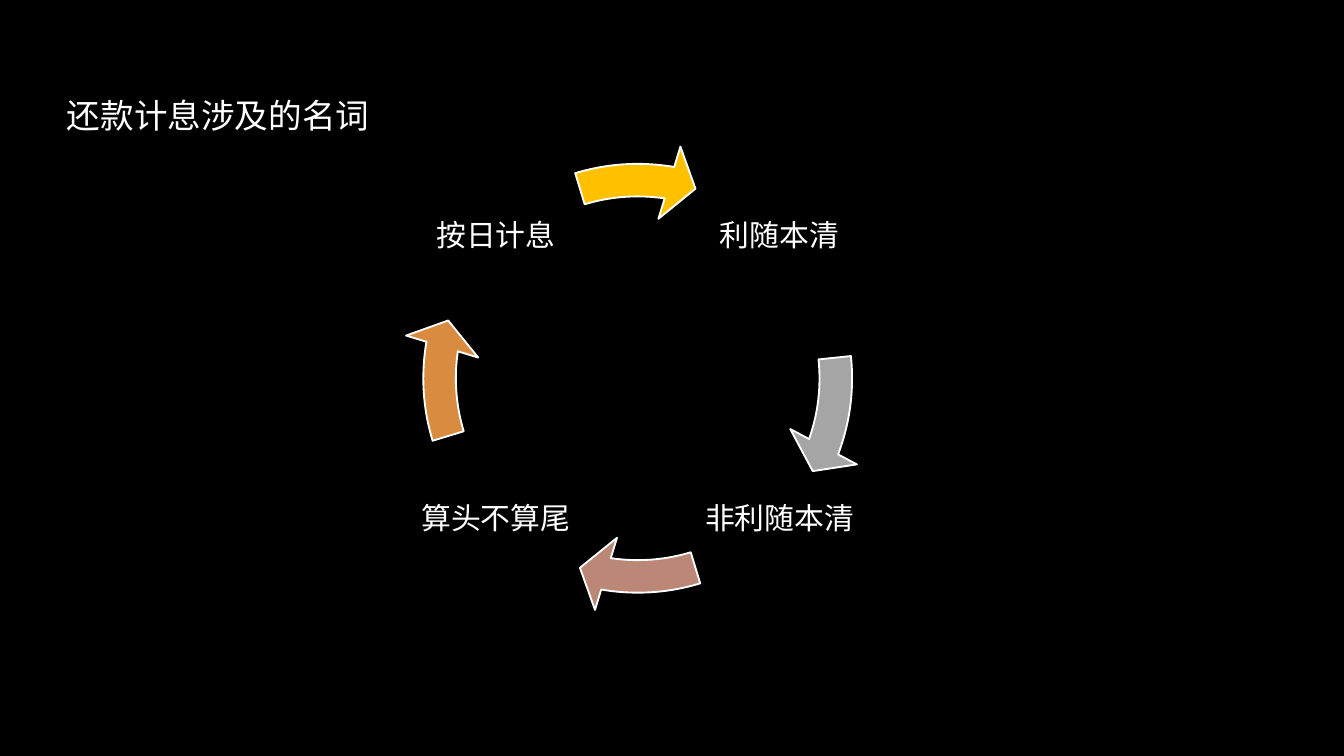
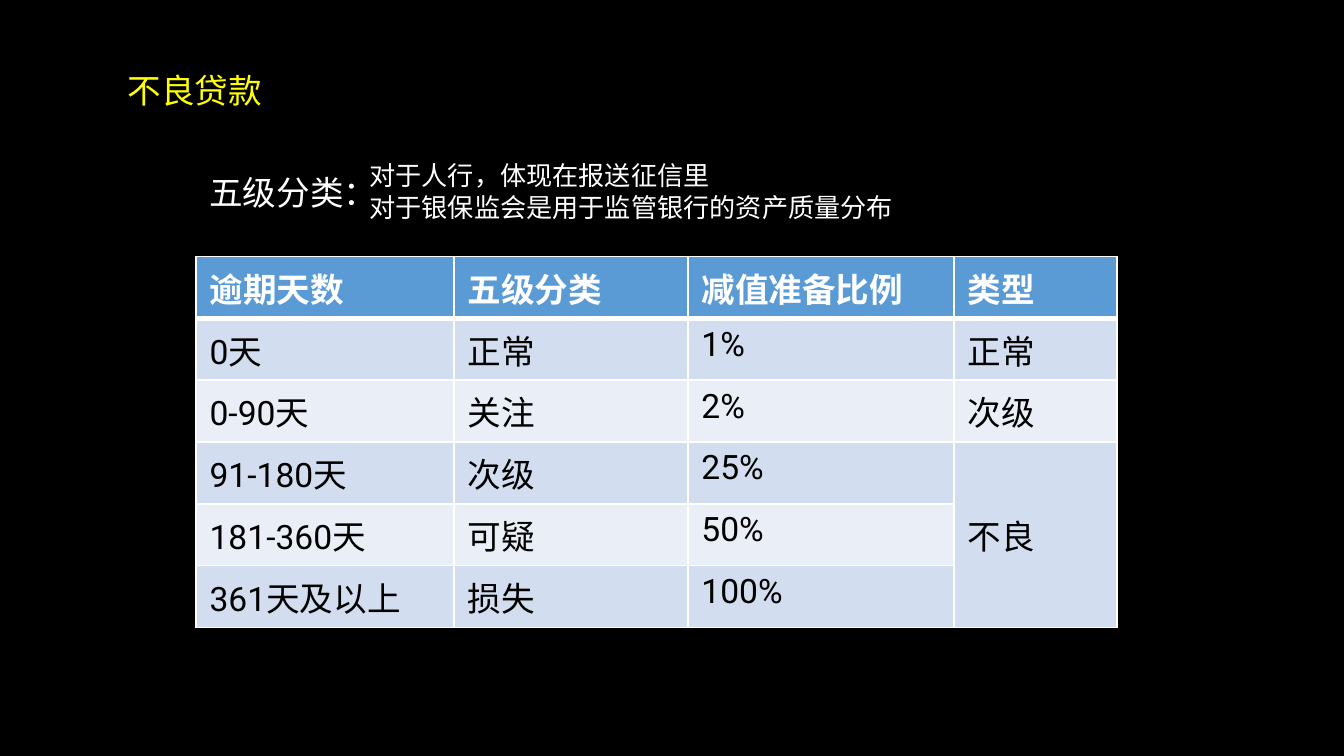
from lxml import etree
from pptx import Presentation
from pptx import util as u
from pptx.dml.color import RGBColor
from pptx.enum import shapes, text
from pptx.oxml import ns

BLACK = RGBColor(0x00, 0x00, 0x00)
WHITE = RGBColor(0xFF, 0xFF, 0xFF)
YELLOW = RGBColor(0xFF, 0xFF, 0x00)
GOLD = RGBColor(0xFF, 0xC0, 0x00)
GRAY = RGBColor(0xA5, 0xA5, 0xA5)
ROSE = RGBColor(0xBB, 0x87, 0x76)
ORANGE = RGBColor(0xD9, 0x8C, 0x3F)
HEADER_BLUE = RGBColor(0x5B, 0x9B, 0xD5)
BANDS = (RGBColor(0xD2, 0xDE, 0xEF), RGBColor(0xEA, 0xEF, 0xF7))
CJK_FONT = "Noto Sans CJK SC"
LATIN_FONT = "Roboto"

FULL_TURN = 216
QUARTER_TURN = 54


class Deck:
    """Holds the shared style and the slide being built."""

    def __init__(self):
        self.presentation = Presentation()
        self.presentation.slide_width = u.Inches(10)
        self.presentation.slide_height = u.Inches(10) * 9 // 16
        self.slide = None

    def new_slide(self):
        self.slide = self.presentation.slides.add_slide(self.presentation.slide_layouts[6])
        fill = self.slide.background.fill
        fill.solid()
        fill.fore_color.rgb = BLACK

    def add_run(self, paragraph, content, size, color, font=CJK_FONT, bold=False):
        run = paragraph.add_run()
        run.text = content
        run.font.size = u.Pt(size)
        run.font.name = font
        run.font.bold = bold
        run.font.color.rgb = color
        east_asian = etree.SubElement(run.font._element, ns.qn("a:ea"))
        east_asian.set("typeface", CJK_FONT)

    def label(self, lines, left, top, width, height, size=18, color=WHITE, wrap=False):
        shape = self.slide.shapes.add_textbox(*map(u.Inches, (left, top, width, height)))
        frame = shape.text_frame
        frame.word_wrap = wrap
        frame.auto_size = text.MSO_AUTO_SIZE.SHAPE_TO_FIT_TEXT
        paragraph = frame.paragraphs[0]
        for index, line in enumerate(lines):
            if index:
                paragraph.add_line_break()
            self.add_run(paragraph, line, size, color)

    def cycle_term(self, content, left, top):
        side = u.Inches(1.24)
        shape = self.slide.shapes.add_textbox(u.Inches(left), u.Inches(top), side, side)
        frame = shape.text_frame
        frame.word_wrap = True
        frame.vertical_anchor = text.MSO_ANCHOR.MIDDLE
        frame.margin_left = frame.margin_right = u.Inches(0.02)
        frame.margin_top = frame.margin_bottom = u.Inches(0.02)
        paragraph = frame.paragraphs[0]
        paragraph.alignment = text.PP_ALIGN.CENTER
        paragraph.line_spacing = 0.9
        self.add_run(paragraph, content, 16, WHITE, LATIN_FONT)

    def cycle_arrow(self, quarter, color, rotation=0):
        side = u.Inches(3.51)
        shape = self.slide.shapes.add_shape(
            shapes.MSO_SHAPE.CIRCULAR_ARROW, u.Inches(2.99), u.Inches(1.06), side, side)
        turn = quarter * QUARTER_TURN
        values = (0.069, 4.646, 5.525 + turn, (205.829 + turn) % FULL_TURN, 0.08)
        for index, value in enumerate(values):
            shape.adjustments[index] = value
        shape.rotation = rotation
        shape.shadow.inherit = False
        shape.fill.solid()
        shape.fill.fore_color.rgb = color
        shape.line.color.rgb = WHITE
        shape.line.width = u.Pt(1)

    def border(self, cell, side, points):
        properties = cell._tc.get_or_add_tcPr()
        line = etree.SubElement(properties, ns.qn(f"a:ln{side}"), w=str(u.Pt(points)))
        fill = etree.SubElement(line, ns.qn("a:solidFill"))
        etree.SubElement(fill, ns.qn("a:srgbClr"), val=str(WHITE))

    def table(self, rows, widths, left, top, row_height):
        frame = self.slide.shapes.add_table(
            len(rows), len(widths), u.Inches(left), u.Inches(top),
            u.Inches(sum(widths)), u.Inches(row_height * len(rows)))
        table = frame.table
        for column, width in zip(table.columns, widths):
            column.width = u.Inches(width)
        for row_index, row in enumerate(rows):
            table.rows[row_index].height = u.Inches(row_height)
            header = row_index == 0
            for column_index, content in enumerate(row):
                cell = table.cell(row_index, column_index)
                for side in "LRTB":
                    heavy = (row_index, side) in ((0, "B"), (1, "T"))
                    self.border(cell, side, 3 if heavy else 1)
                cell.fill.solid()
                cell.fill.fore_color.rgb = HEADER_BLUE if header else BANDS[(row_index - 1) % 2]
                if content:
                    self.add_run(cell.text_frame.paragraphs[0], content, 18,
                                 WHITE if header else BLACK, LATIN_FONT, header)
        return table


def build_terms(deck):
    deck.new_slide()
    left, right, top, bottom = 3.07, 5.18, 1.14, 3.25
    steps = (
        ("利随本清", right, top, GRAY, 11),
        ("非利随本清", right, bottom, ROSE, 0),
        ("算头不算尾", left, bottom, ORANGE, 0),
        ("按日计息", left, top, GOLD, 0),
    )
    for quarter, (term, x, y, color, rotation) in enumerate(steps):
        deck.cycle_term(term, x, y)
        deck.cycle_arrow(quarter, color, rotation)
    deck.label(["还款计息涉及的名词"], 0.4, 0.66, 2.47, 0.4)


def build_bad_loans(deck):
    deck.new_slide()
    rows = (
        ("逾期天数", "五级分类", "减值准备比例", "类型"),
        ("0天", "正常", "1%", "正常"),
        ("0-90天", "关注", "2%", "次级"),
        ("91-180天", "次级", "25%", "不良"),
        ("181-360天", "可疑", "50%", ""),
        ("361天及以上", "损失", "100%", ""),
    )
    table = deck.table(rows, (1.92, 1.74, 1.98, 1.21), 1.46, 1.91, 0.46)
    bad_type = table.cell(3, 3)
    bad_type.merge(table.cell(5, 3))
    bad_type.vertical_anchor = text.MSO_ANCHOR.MIDDLE
    deck.label(["不良贷款"], 0.85, 0.47, 1.21, 0.4, color=YELLOW)
    deck.label(["五级分类："], 1.46, 1.23, 1.46, 0.4)
    deck.label(["对于人行，体现在报送征信里", "对于银保监会是用于监管银行的资产质量分布"],
               2.65, 1.14, 5, 0.57, size=14, wrap=True)


def main():
    deck = Deck()
    build_terms(deck)
    build_bad_loans(deck)
    deck.presentation.save("out.pptx")


if __name__ == "__main__":
    main()
